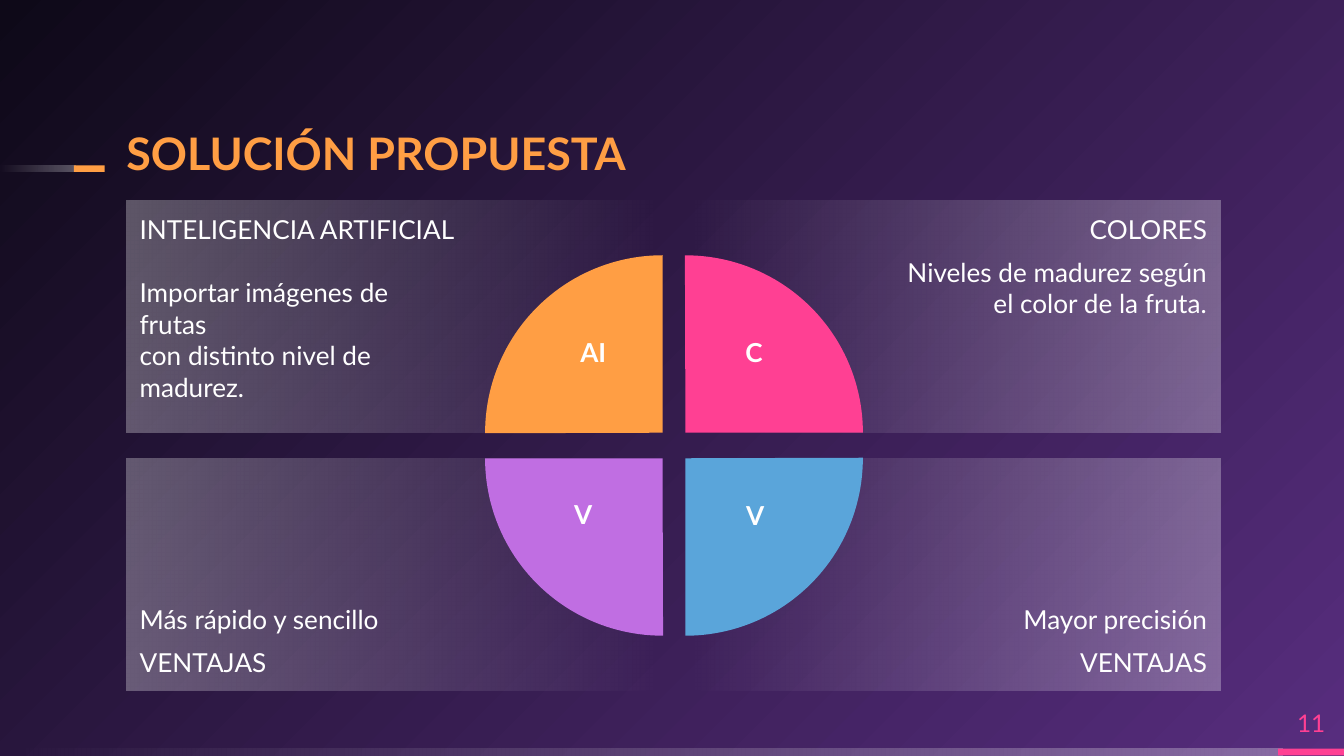
from lxml import etree
from pptx import Presentation
from pptx.dml.color import RGBColor
from pptx.enum.shapes import MSO_SHAPE
from pptx.enum.text import MSO_ANCHOR, MSO_AUTO_SIZE, PP_ALIGN
from pptx.oxml.ns import qn
from pptx.util import Inches, Pt

RECT, PIE = MSO_SHAPE.RECTANGLE, MSO_SHAPE.PIE
LEFT, CENTER, RIGHT = PP_ALIGN.LEFT, PP_ALIGN.CENTER, PP_ALIGN.RIGHT
TOP, MIDDLE, BOTTOM = MSO_ANCHOR.TOP, MSO_ANCHOR.MIDDLE, MSO_ANCHOR.BOTTOM
NO_FIT = MSO_AUTO_SIZE.NONE

FONT = "Lato"
COLORS = {
    "orange": "FF9E44", "pink": "FF4093", "blue": "5AA5DA", "violet": "C06EE2",
    "white": "FFFFFF", "glow": "572D7E", "night": "0E0918",
}


def rgb(name):
    return RGBColor.from_string(COLORS[name])


def set_gradient(parent, stops, angle=None):
    """Swap the parent's noFill for a gradient; without an angle it is radial."""
    gradient = etree.Element(qn("a:gradFill"), rotWithShape="1")
    stop_list = etree.SubElement(gradient, qn("a:gsLst"))
    for position, name, opacity in stops:
        stop = etree.SubElement(stop_list, qn("a:gs"), pos=str(position * 1000))
        color = etree.SubElement(stop, qn("a:srgbClr"), val=COLORS[name])
        if opacity < 100:
            etree.SubElement(color, qn("a:alpha"), val=str(opacity * 1000))
    if angle is None:
        circle = etree.SubElement(gradient, qn("a:path"), path="circle")
        etree.SubElement(circle, qn("a:fillToRect"), l="100000", t="100000")
    else:
        etree.SubElement(gradient, qn("a:lin"), ang=str(angle * 60000), scaled="0")
    parent.replace(parent.find(qn("a:noFill")), gradient)


def add_block(slide, box, color=None, fade_angle=0, kind=RECT):
    """A flat block, or a white one that fades out when no colour is given."""
    block = slide.shapes.add_shape(kind, *map(Inches, box))
    block.shadow.inherit = False
    block.line.fill.background()
    if color:
        block.fill.solid()
        block.fill.fore_color.rgb = rgb(color)
    else:
        block.fill.background()
        fade = [(0, "white", 30), (100, "white", 0)]
        set_gradient(block._element.spPr, fade, fade_angle)
    return block


def set_frame(frame, anchor, margins):
    frame.word_wrap = True
    frame.auto_size = NO_FIT
    frame.vertical_anchor = anchor
    (frame.margin_left, frame.margin_top,
     frame.margin_right, frame.margin_bottom) = map(Inches, margins)


def add_run(paragraph, text, size=14, color="white", bold=False):
    run = paragraph.add_run()
    run.text = text
    run.font.name = FONT
    run.font.size = Pt(size)
    run.font.bold = bold
    run.font.color.rgb = rgb(color)


def add_label(slide, box, text, anchor=TOP, margins=(0.1, 0.05, 0.1, 0.05), **style):
    label = slide.shapes.add_textbox(*map(Inches, box))
    set_frame(label.text_frame, anchor, margins)
    paragraph = label.text_frame.paragraphs[0]
    paragraph.alignment = CENTER
    add_run(paragraph, text, **style)


def add_title(slide, box, text):
    _, top, _, height = box
    # Accent dash leading to the title
    dash_top = top + height - 0.11
    add_block(slide, (0, dash_top, 0.56, 0.05), fade_angle=180)
    add_block(slide, (0.55, dash_top, 0.23, 0.05), "orange")
    title = slide.shapes.title
    title.left, title.top, title.width, title.height = map(Inches, box)
    set_frame(title.text_frame, BOTTOM, (0, 0, 0, 0))
    paragraph = title.text_frame.paragraphs[0]
    paragraph.alignment = LEFT
    paragraph.line_spacing = 0.9
    add_run(paragraph, text, size=24, color="orange", bold=True)


def add_footer(slide, box, number):
    left, top, width, height = box
    tab_width = 0.49
    tab_left = left + width - tab_width
    add_block(slide, (left, top, tab_left + 0.03, height), fade_angle=180)
    add_block(slide, (tab_left, top, tab_width, height), "pink")
    add_label(slide, (tab_left, top - 0.38, tab_width, 0.38), number,
              anchor=MIDDLE, margins=(0, 0, 0, 0), size=13, color="pink")


def add_panel(slide, box, lines, on_right, anchor):
    panel = add_block(slide, box, fade_angle=180 if on_right else 0)
    margins = (1.5, 0.1, 0.1, 0.1) if on_right else (0.1, 0.1, 1.5, 0.1)
    frame = panel.text_frame
    set_frame(frame, anchor, margins)
    for index, (text, space_before) in enumerate(lines):
        paragraph = frame.add_paragraph() if index else frame.paragraphs[0]
        paragraph.alignment = RIGHT if on_right else LEFT
        paragraph.space_before = Pt(space_before)
        add_run(paragraph, text)


def add_quadrants(slide, box):
    left, top, width, height = box
    panel_width, panel_height = 3.99, 1.73
    columns = (left, left + width - panel_width)
    rows = (top, top + height - panel_height)

    # Text panels: column, row, (line, space before)
    panels = [
        (0, 0, [("INTELIGENCIA ARTIFICIAL", 0),
                ("Importar imágenes de frutas", 17),
                ("con distinto nivel de madurez.", 0)]),
        (1, 0, [("COLORES", 0),
                ("Niveles de madurez según el color de la fruta.", 6)]),
        (0, 1, [("Más rápido y sencillo", 0), ("VENTAJAS", 6)]),
        (1, 1, [("Mayor precisión", 0), ("VENTAJAS", 6)]),
    ]
    for column, row, lines in panels:
        add_panel(slide, (columns[column], rows[row], panel_width, panel_height),
                  lines, on_right=column == 1, anchor=BOTTOM if row else TOP)

    # Quarter circles, clockwise from the upper left
    diameter = 2.64
    near_x, far_x = left + 2.67, left + 2.84
    near_y, far_y = top + 0.41, top + 0.6
    quarters = [
        (near_x, near_y, "orange"), (far_x, near_y, "pink"),
        (far_x, far_y, "blue"), (near_x, far_y, "violet"),
    ]
    for turn, (x, y, color) in enumerate(quarters):
        quarter = add_block(slide, (x, y, diameter, diameter), color, kind=PIE)
        quarter.adjustments[0] = 107.89
        quarter.adjustments[1] = 162
        quarter.rotation = turn * 90

    # Letters on the quarters
    letters = [
        ("AI", 3.22, 0.96, 0.51), ("C", 4.48, 0.96, 0.38),
        ("V", 3.22, 2.17, 0.36), ("V", 4.5, 2.18, 0.36),
    ]
    for letter, x, y, letter_width in letters:
        add_label(slide, (left + x, top + y, letter_width, 0.48), letter, bold=True)


def main():
    deck = Presentation()
    # Widescreen, 16:9
    deck.slide_width = Inches(10)
    deck.slide_height = deck.slide_width * 9 // 16
    slide = deck.slides.add_slide(deck.slide_layouts[5])

    # Radial background, brightest at the lower right
    slide.background.fill.background()
    set_gradient(slide.element.find(".//" + qn("p:bgPr")),
                 [(0, "glow", 100), (100, "night", 100)])

    add_footer(slide, (0, 5.57, 10, 0.05), "11")
    add_title(slide, (0.94, 0.91, 5.8, 0.43), "SOLUCIÓN PROPUESTA")
    add_quadrants(slide, (0.94, 1.49, 8.14, 3.65))
    deck.save("out.pptx")


if __name__ == "__main__":
    main()
